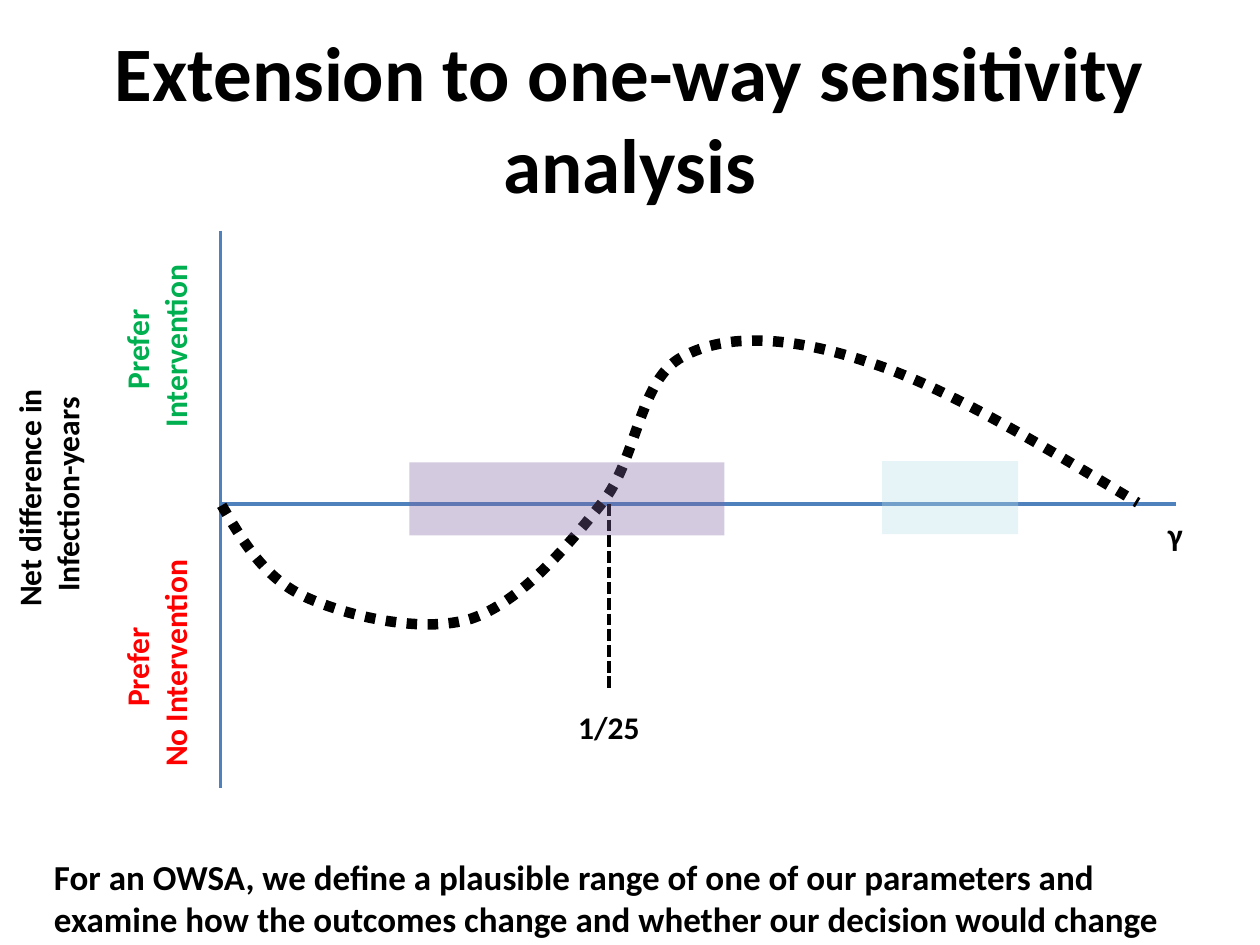
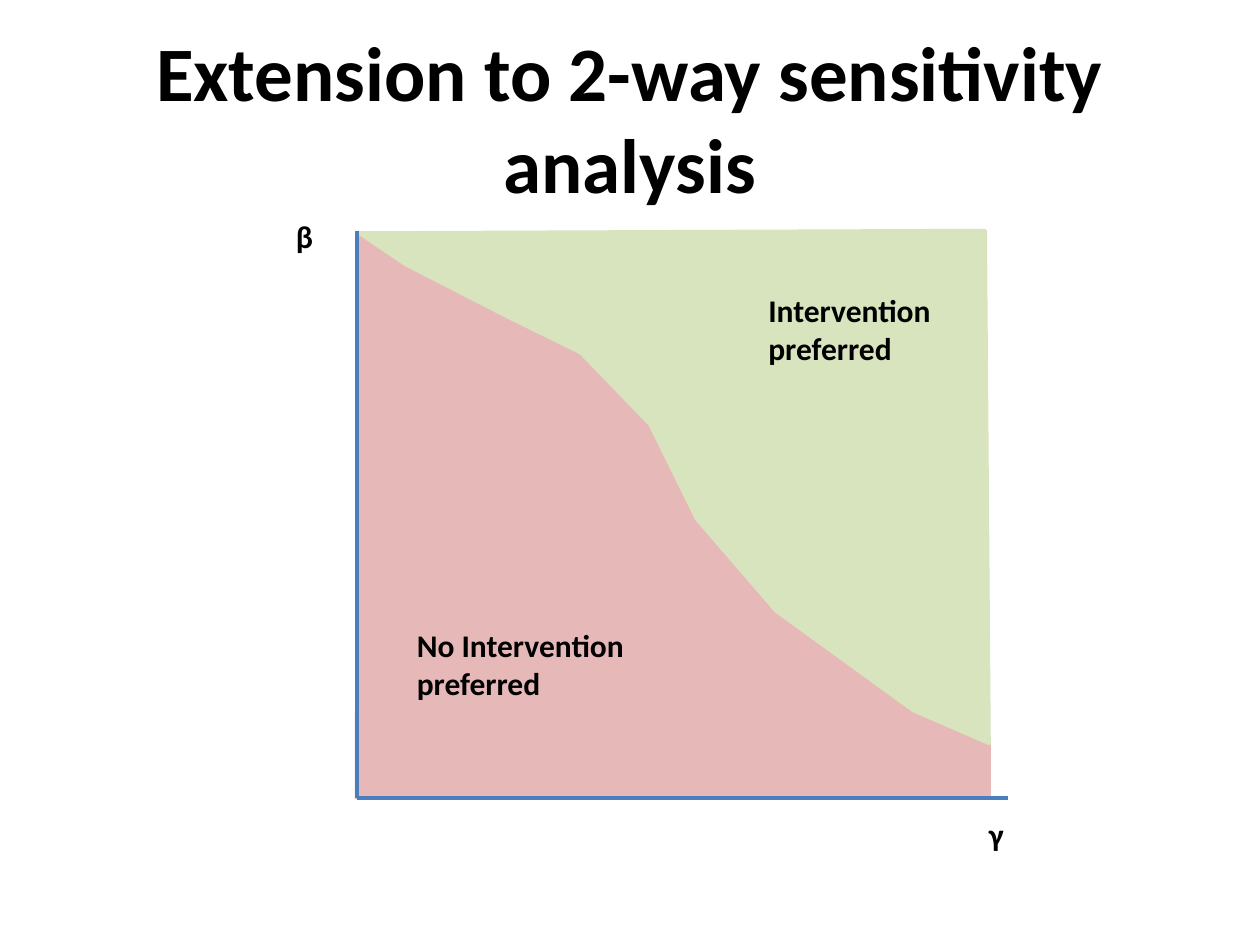
from lxml import etree
from pptx import Presentation
from pptx.dml.color import RGBColor
from pptx.enum.dml import MSO_LINE
from pptx.enum.shapes import MSO_CONNECTOR, MSO_SHAPE
from pptx.enum.text import MSO_ANCHOR, MSO_AUTO_SIZE, PP_ALIGN
from pptx.oxml.ns import qn
from pptx.util import Inches, Pt

STRAIGHT, RECT = MSO_CONNECTOR.STRAIGHT, MSO_SHAPE.RECTANGLE
DOT, DASH = MSO_LINE.ROUND_DOT, MSO_LINE.SQUARE_DOT
LEFT, MID = PP_ALIGN.LEFT, PP_ALIGN.CENTER
FONT, BLACK = "Calibri", "000000"
WIDE, HIGH = 10, 7.5
ROW1, ROW2 = 0.4, 0.71

ONE = {
    "title": "Extension to one-way sensitivity analysis",
    "color": "4F81BD",
    "axes": [(1.75, 1.83, 1.75, 6.25), (1.75, 4, 9.33, 4)],
    "sides": [
        ("Net difference in \nInfection-years", -0.62, 3.57, 2.01, BLACK),
        ("Prefer \nIntervention", 0.49, 2.39, 1.5, "00B050"),
        ("Prefer \nNo Intervention", 0.31, 4.91, 1.86, "FF0000"),
    ],
    "labels": [("γ", 9.17, 4.04, 0.32), ("1/25", 4.49, 5.57, 0.69)],
    "curve": [
        (1.76, 4.01),
        (1.93, 4.3), (2.1, 4.59), (2.43, 4.74),
        (2.76, 4.89), (3.35, 5.03), (3.74, 4.91),
        (4.13, 4.78), (4.5, 4.34), (4.78, 3.99),
        (5.06, 3.64), (5.07, 3.01), (5.42, 2.83),
        (5.77, 2.64), (6.28, 2.67), (6.88, 2.87),
        (7.49, 3.06), (8.26, 3.53), (9.03, 3.99),
    ],
    "drop": (4.83, 4, 4.83, 5.48),
    "ranges": [(3.25, 3.67, 2.5, "8064A2"), (7, 3.66, 1.08, "B7DEE8")],
    "note": "For an OWSA, we define a plausible range of one of our parameters "
            "and examine how the outcomes change and whether our decision would change",
}

TWO = {
    "title": "Extension to 2-way sensitivity analysis",
    "color": "4B7EBC",
    "axes": [(2.83, 1.83, 2.83, 6.33), (2.83, 6.33, 8, 6.33)],
    "zones": [
        ("E6B9B8", [(2.84, 1.85), (3.4, 2.21), (3.93, 2.42), (4.62, 2.78),
                    (5.21, 3.36), (5.57, 4.12), (6.19, 4.86), (6.94, 5.39),
                    (7.29, 5.62), (7.85, 5.85), (7.85, 6.32), (2.83, 6.33)]),
        ("D7E4BD", [(2.85, 1.85), (7.82, 1.83), (7.85, 5.9), (7.25, 5.64),
                    (6.16, 4.85), (5.53, 4.12), (5.16, 3.37), (4.61, 2.8),
                    (4.04, 2.52), (3.22, 2.1)]),
    ],
    "labels": [
        ("No Intervention\npreferred", 3.21, 4.92, 1.92),
        ("Intervention\npreferred", 6, 2.26, 1.5),
        ("β", 2.25, 1.67, 0.34),
        ("γ", 7.75, 6.42, 0.32),
    ],
}


def rgb(code):
    return RGBColor.from_string(code)


def paint(fill, code):
    fill.solid()
    fill.fore_color.rgb = rgb(code)


def stroke(line, code, width, dash=None):
    paint(line.fill, code)
    line.width = Pt(width)
    if dash:
        line.dash_style = dash


def write(slide, words, x, y, w, h, size=18, code=BLACK, align=LEFT, wrap=False):
    box = slide.shapes.add_textbox(*map(Inches, (x, y, w, h)))
    frame = box.text_frame
    frame.text = words
    frame.word_wrap = wrap
    frame.auto_size = MSO_AUTO_SIZE.NONE if wrap else MSO_AUTO_SIZE.SHAPE_TO_FIT_TEXT
    for para in frame.paragraphs:
        para.alignment = align
        for run in para.runs:
            font = run.font
            font.name, font.size, font.bold = FONT, Pt(size), True
            font.color.rgb = rgb(code)
    return box


def label(slide, words, x, y, w, **look):
    return write(slide, words, x, y, w, ROW2 if "\n" in words else ROW1, **look)


def head(slide, words):
    box = write(slide, words, 0.05 * WIDE, 0.04 * HIGH, 0.9 * WIDE, HIGH / 6,
                size=44, align=MID, wrap=True)
    box.text_frame.vertical_anchor = MSO_ANCHOR.MIDDLE


def rule(slide, ends, code, dash=None):
    line = slide.shapes.add_connector(STRAIGHT, *map(Inches, ends))
    stroke(line.line, code, 2.25, dash)
    etree.SubElement(line._element.spPr, qn("a:effectLst"))


def trace(slide, points, close):
    spots = [(Inches(x), Inches(y)) for x, y in points]
    pen = slide.shapes.build_freeform(*spots[0], scale=1.0)
    pen.add_line_segments(spots[1:], close=close)
    shape = pen.convert_to_shape()
    shape.shadow.inherit = False
    return shape


def bend(shape):
    steps = list(shape._element.iter(qn("a:lnTo")))
    for i in range(0, len(steps), 3):
        arc = etree.SubElement(steps[i].getparent(), qn("a:cubicBezTo"))
        for step in steps[i:i + 3]:
            arc.append(step[0])
            step.getparent().remove(step)


def frame_axes(slide, data):
    for ends in data["axes"]:
        rule(slide, ends, data["color"])


def one_way(slide, data):
    head(slide, data["title"])
    frame_axes(slide, data)
    for words, x, y, w, code in data["sides"]:
        label(slide, words, x, y, w, code=code, align=MID).rotation = 270
    for item in data["labels"]:
        label(slide, *item)
    curve = trace(slide, data["curve"], False)
    bend(curve)
    curve.fill.background()
    stroke(curve.line, BLACK, 6, DOT)
    rule(slide, data["drop"], BLACK, DASH)
    for x, y, w, code in data["ranges"]:
        band = slide.shapes.add_shape(RECT, *map(Inches, (x, y, w, 0.58)))
        band.shadow.inherit = False
        paint(band.fill, code)
        band.line.fill.background()
        tint = band._element.spPr.find(".//" + qn("a:srgbClr"))
        etree.SubElement(tint, qn("a:alpha")).set("val", "34000")
    write(slide, data["note"], 0.33, 6.74, 9.25, 0.77, size=20, wrap=True)


def two_way(slide, data):
    for code, points in data["zones"]:
        zone = trace(slide, points, True)
        paint(zone.fill, code)
        stroke(zone.line, code, 2)
    head(slide, data["title"])
    frame_axes(slide, data)
    for item in data["labels"]:
        label(slide, *item)


def main():
    deck = Presentation()
    deck.slide_width, deck.slide_height = Inches(WIDE), Inches(HIGH)
    for draw, data in ((one_way, ONE), (two_way, TWO)):
        draw(deck.slides.add_slide(deck.slide_layouts[6]), data)
    deck.save("out.pptx")


if __name__ == "__main__":
    main()
